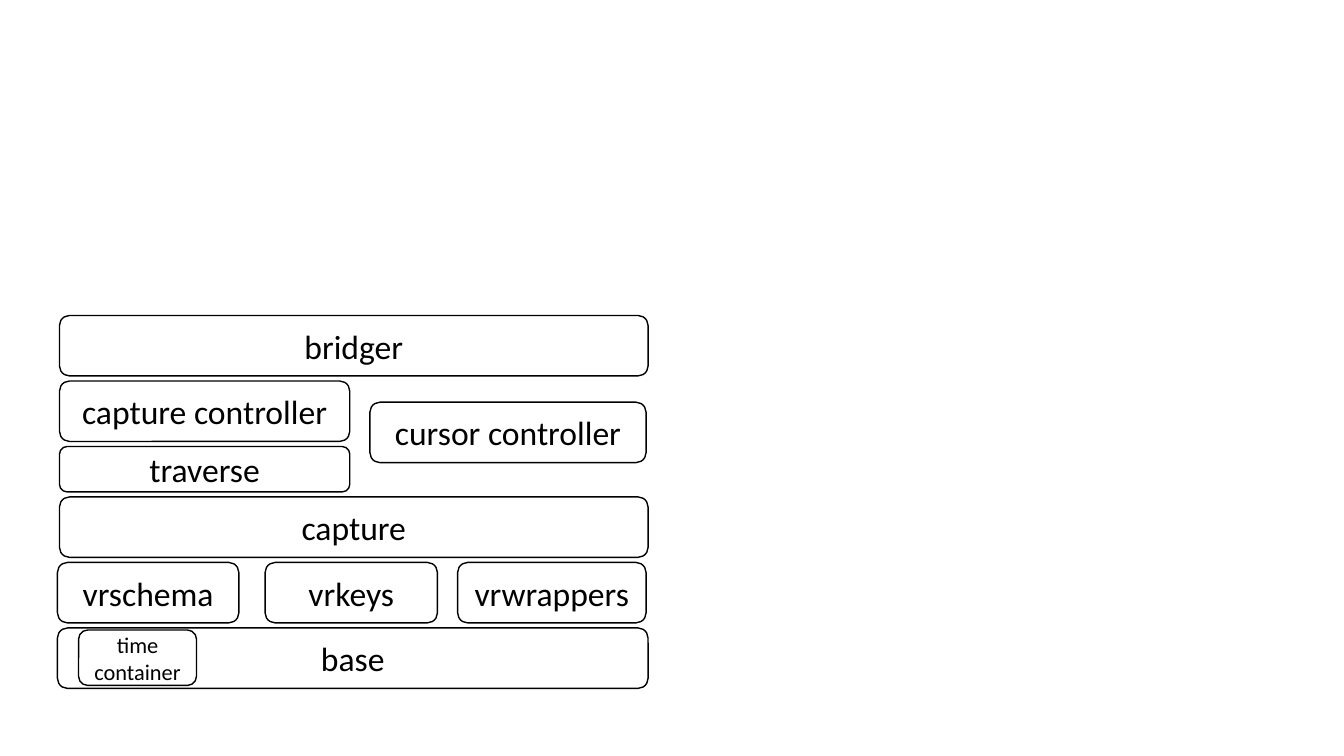
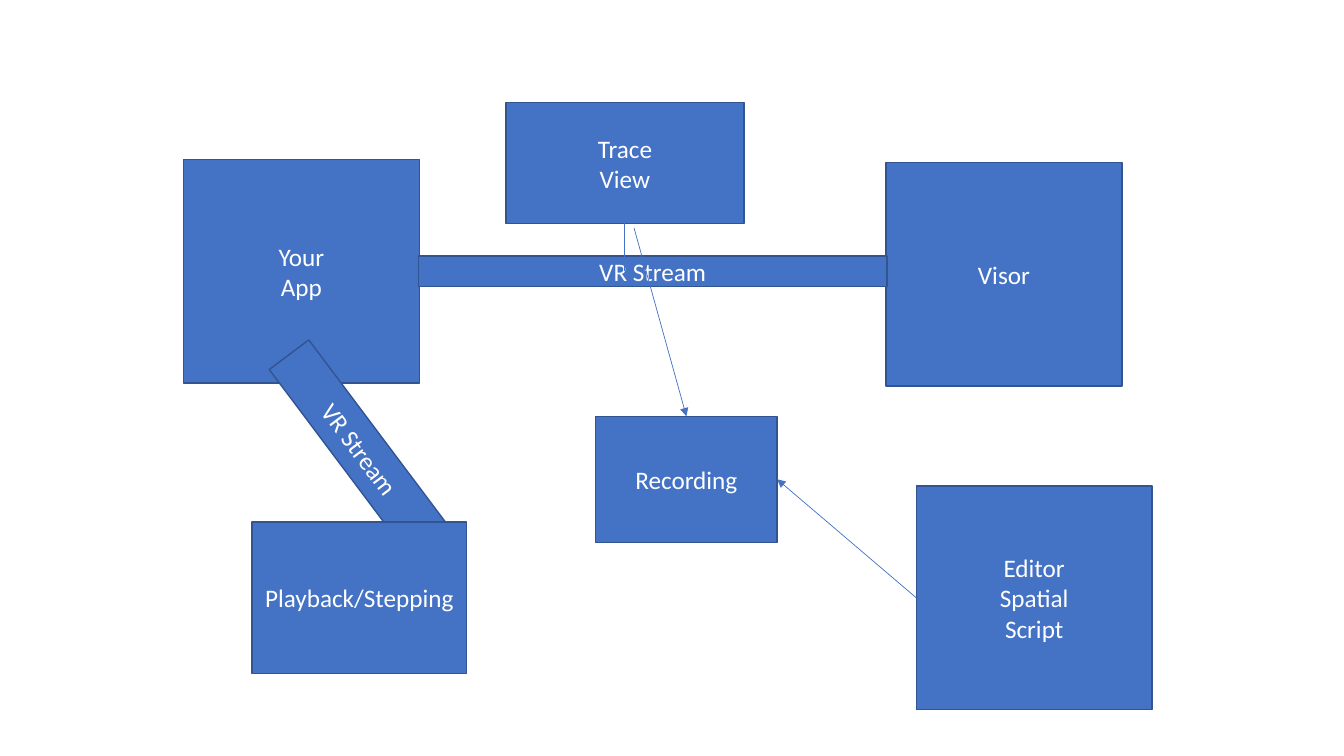
from lxml.etree import SubElement
from pptx import Presentation
from pptx.dml.color import RGBColor
from pptx.enum.shapes import MSO_CONNECTOR as Connector, MSO_SHAPE as Shape
from pptx.enum.text import MSO_ANCHOR as Anchor, PP_ALIGN as Align
from pptx.oxml.ns import qn
from pptx.util import Emu, Inches, Pt

# Shared grid: 40 columns by 22.5 rows of square cells
CELL = Inches(1) / 3
COLUMNS, ROWS = 40, 22.5

# Shared styles
FONT = "Calibri"
BLOCK = {"preset": Shape.ROUNDED_RECTANGLE, "fill": "FFFFFF",
         "line": "000000", "text": "000000", "size": 24}
SMALL_BLOCK = {**BLOCK, "size": 16}
BOX = {"preset": Shape.RECTANGLE, "fill": "4472C4",
       "line": "325491", "text": "FFFFFF", "size": 18}
LINK_COLOUR = BOX["fill"]

# Module stack, from the bottom up: height, then (label, left, width)
LAYER, GAP, STACK_BOTTOM = 1.8, 0.15, 20.49
LAYERS = [
    (LAYER, [("base", 1.71, 17.58)]),
    (LAYER, [("vrschema", 1.71, 5.4), ("vrkeys", 7.89, 5.13),
             ("vrwrappers", 13.62, 5.61)]),
    (LAYER, [("capture", 1.77, 17.52)]),
    (LAYER * 0.75, [("traverse", 1.77, 8.64)]),
    (LAYER, [("capture controller", 1.77, 8.64)]),
    (LAYER, [("bridger", 1.77, 17.52)]),
]

LARGE = (7.02, 6.66)


def cells(count):
    return Emu(round(count * CELL))


def colour(value):
    return RGBColor.from_string(value)


def apply(target, values):
    for name, value in values.items():
        setattr(target, name, value)


def add_box(shapes, text, left, top, width, height, style, rotation=0):
    """Outlined shape with centred text, one paragraph per line."""
    shape = shapes.add_shape(style["preset"], *map(cells, (left, top, width, height)))
    shape.rotation = rotation
    shape.shadow.inherit = False
    shape.fill.solid()
    shape.fill.fore_color.rgb = colour(style["fill"])
    shape.line.color.rgb = colour(style["line"])
    shape.line.width = Pt(1)
    frame = shape.text_frame
    apply(frame, {"text": text, "word_wrap": True, "vertical_anchor": Anchor.MIDDLE})
    for paragraph in frame.paragraphs:
        paragraph.alignment = Align.CENTER
        for run in paragraph.runs:
            apply(run.font, {"name": FONT, "size": Pt(style["size"])})
            run.font.color.rgb = colour(style["text"])
    return shape


def add_link(shapes, start=(0, 0), end=(0, 0), arrow=True):
    """Thin straight line, with an arrowhead at its end if wanted."""
    link = shapes.add_connector(Connector.STRAIGHT, *map(cells, (*start, *end)))
    link.line.color.rgb = colour(LINK_COLOUR)
    link.line.width = Pt(0.5)
    if arrow:
        SubElement(link.line._get_or_add_ln(), qn("a:tailEnd"), type="triangle")
    SubElement(link._element.spPr, qn("a:effectLst"))
    return link


def build_module_stack(slide):
    shapes = slide.shapes.add_group_shape().shapes
    top = STACK_BOTTOM
    for height, blocks in LAYERS:
        top -= height
        for label, left, width in blocks:
            add_box(shapes, label, left, top, width, height, BLOCK)
        top -= GAP
    # Blocks outside the regular layers
    add_box(shapes, "time\ncontainer", 2.34, 18.75, 3.51, 1.65, SMALL_BLOCK)
    add_box(shapes, "cursor controller", 11.01, 11.97, 8.22, LAYER, BLOCK)


def build_stream_diagram(slide):
    shapes = slide.shapes
    # Application, headset and the stream between them
    add_box(shapes, "Your\nApp", 5.46, 4.74, *LARGE, BOX)
    add_box(shapes, "Visor", 26.37, 4.83, *LARGE, BOX)
    add_box(shapes, "VR Stream", 12.45, 7.62, 13.95, 0.9, BOX)

    # Trace view taps the stream and feeds the recording
    add_box(shapes, "Trace\nView", 15.06, 3.06, 7.08, 3.6, BOX)
    add_link(shapes, (18.57, 8.07), (18.57, 6.03), arrow=False)
    recording = add_box(shapes, "Recording", 17.73, 12.39, 5.4, 3.75, BOX)
    add_link(shapes, (18.87, 6.78)).end_connect(recording, 0)

    # Editor works on the recording
    editor = add_box(shapes, "Editor\nSpatial\nScript", 27.27, 14.46, *LARGE, BOX)
    edit_link = add_link(shapes)
    edit_link.begin_connect(editor, 1)
    edit_link.end_connect(recording, 3)

    # Playback covers the lower end of its slanted stream
    add_box(shapes, "VR Stream", 7.2, 12.63, 7.02, 1.47, BOX, rotation=53.1)
    add_box(shapes, "Playback/Stepping", 7.5, 15.54, 6.39, 4.5, BOX)


def main():
    presentation = Presentation()
    apply(presentation, {"slide_width": cells(COLUMNS), "slide_height": cells(ROWS)})
    blank = presentation.slide_layouts[6]
    for build in (build_module_stack, build_stream_diagram):
        build(presentation.slides.add_slide(blank))
    presentation.save("out.pptx")


main()
